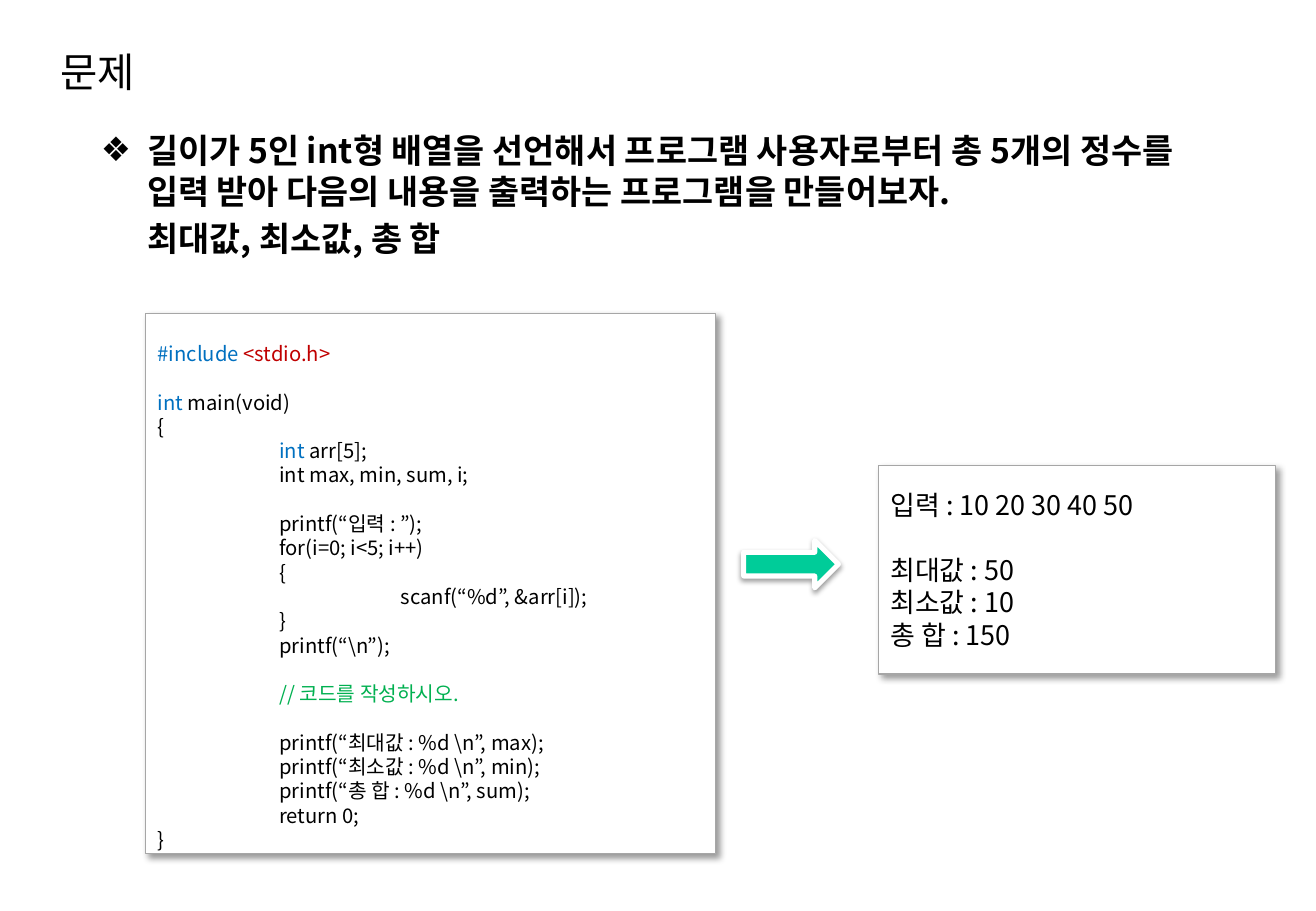
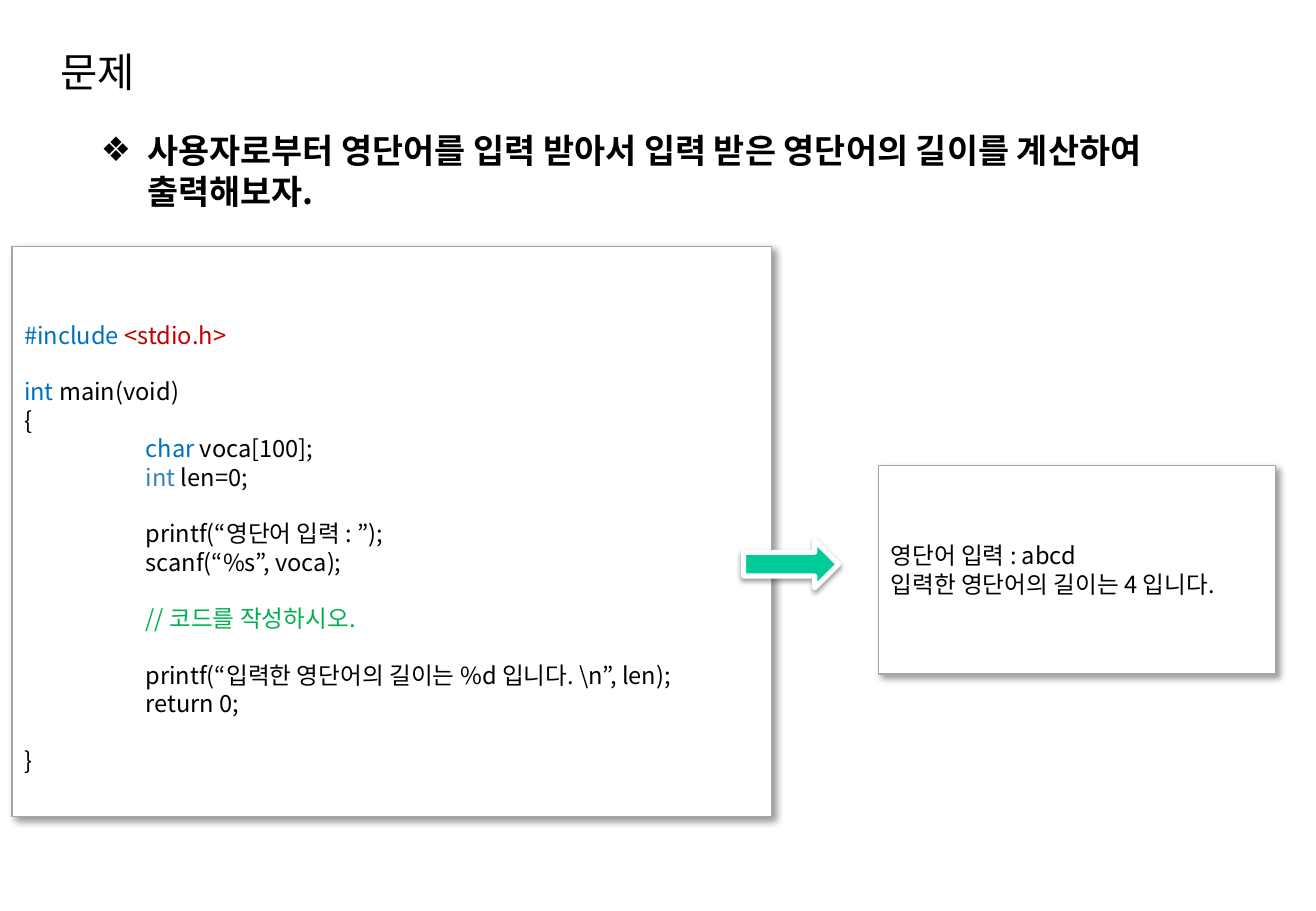
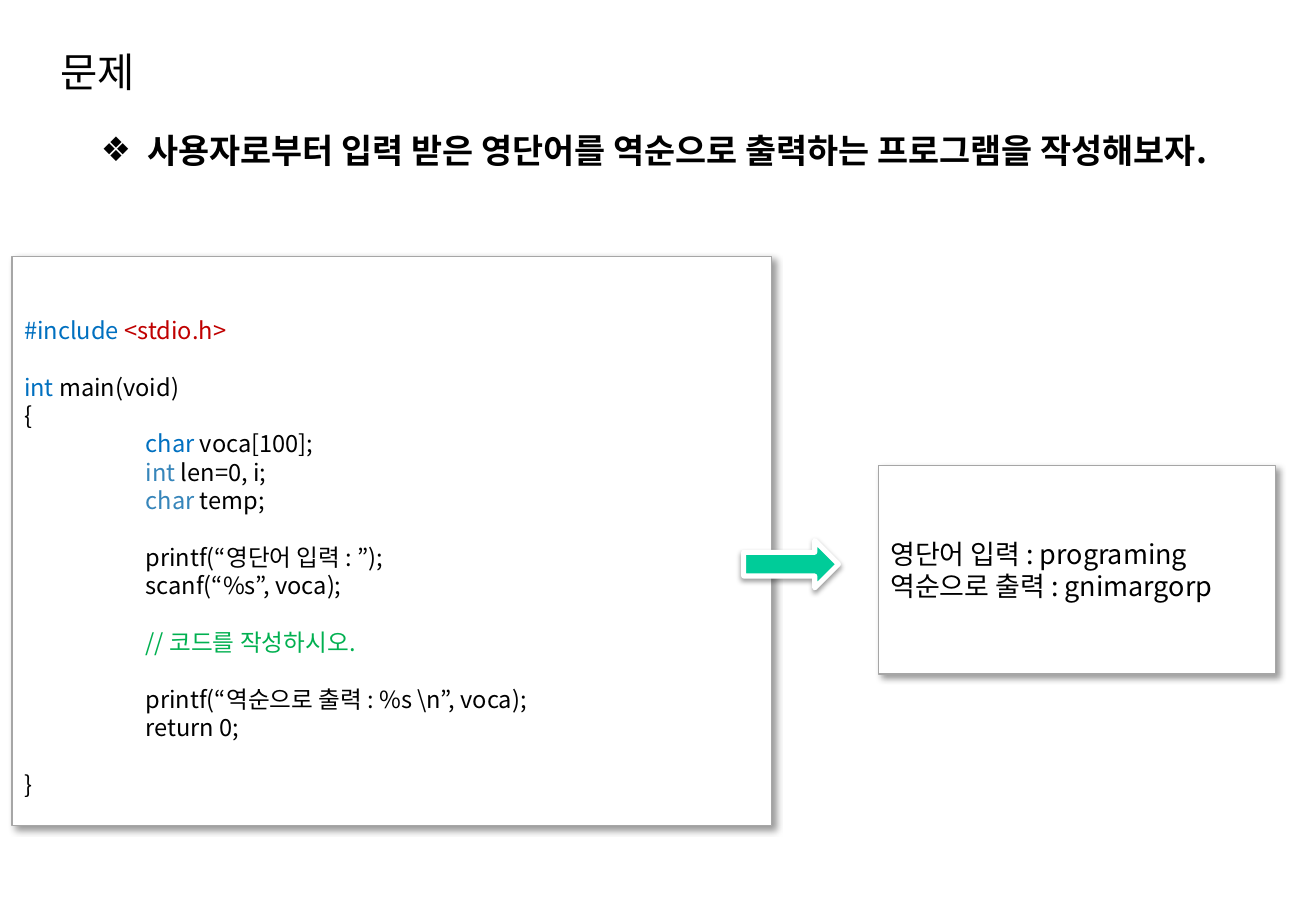
from lxml import etree
from pptx import Presentation
from pptx.dml import color
from pptx.enum import shapes, text
from pptx.oxml import ns
from pptx.util import Inches, Pt

WIDTH, HEIGHT = Inches(10.83), Inches(7.5)
FONT = "Noto Sans CJK KR"
BLACK, WHITE, GREY, TEAL = "000000", "FFFFFF", "A6A6A6", "00CC99"
BLUE, SOFT_BLUE, RED, GREEN = "0070C0", "3685BA", "C00000", "00B050"
LEADING = 1.2
TAB = Inches(1)
BULLET_INDENT = Inches(0.38)

TITLE_AREA = (3.69, 4.27, 57.8, 7.2)
TASK_AREA = (6.74, 13.6, 86.15, 78.67)
OUTPUT_AREA = (66.76, 51.07, 30.19, 22.93)
ARROW_AREA = (56.51, 59.33, 7.2, 5.2)

OPENING = [
    (0, 0, ("#include ", BLUE), ("<stdio.h>", RED)),
    (0, 1, ("int", BLUE), " main(void)"),
    (0, 0, "{"),
]
TODO = (1, 1, ("// 코드를 작성하시오.", GREEN))
RETURN = (1, 0, "return 0;")
READ_WORD = [(1, 1, "printf(“영단어 입력 : ”);"), (1, 0, "scanf(“%s”, voca);")]
VOCA = (1, 0, ("char ", BLUE), "voca[100];")

PROBLEMS = [
    {
        "task": [
            "길이가 5인 int형 배열을 선언해서 프로그램 사용자로부터 총 5개의 정수를 입력 받아 다음의 내용을 출력하는 프로그램을 만들어보자.",
            "최대값, 최소값, 총 합",
        ],
        "code_area": (11.08, 34.4, 43.31, 59.33),
        "code_inset": 0.23,
        "code_size": 12,
        "code": OPENING + [
            (1, 0, ("int ", BLUE), "arr[5];"),
            (1, 0, "int max, min, sum, i;"),
            (1, 1, "printf(“입력 : ”);"),
            (1, 0, "for(i=0; i<5; i++)"),
            (1, 0, "{"),
            (2, 0, "scanf(“%d”, &arr[i]);"),
            (1, 0, "}"),
            (1, 0, r"printf(“\n”);"),
            TODO,
            (1, 1, r"printf(“최대값 : %d \n”, max);"),
            (1, 0, r"printf(“최소값 : %d \n”, min);"),
            (1, 0, r"printf(“총 합 : %d \n”, sum);"),
            RETURN,
            (0, 0, "}"),
        ],
        "output_size": 16,
        "output": [
            (0, 0, "입력 : 10 20 30 40 50"),
            (0, 1, "최대값 : 50"),
            (0, 0, "최소값 : 10"),
            (0, 0, "총 합 : 150"),
        ],
    },
    {
        "task": ["사용자로부터 영단어를 입력 받아서 입력 받은 영단어의 길이를 계산하여 출력해보자."],
        "code_area": (0.92, 27.07, 57.71, 62.53),
        "code_inset": 0.61,
        "code_size": 14,
        "code": OPENING + [VOCA, (1, 0, ("int ", SOFT_BLUE), "len=0;")] + READ_WORD + [
            TODO,
            (1, 1, r"printf(“입력한 영단어의 길이는 %d 입니다. \n”, len);"),
            RETURN,
            (0, 1, "}"),
        ],
        "output_size": 14,
        "output": [(0, 0, "영단어 입력 : abcd"), (0, 0, "입력한 영단어의 길이는 4 입니다.")],
    },
    {
        "task": ["사용자로부터 입력 받은 영단어를 역순으로 출력하는 프로그램을 작성해보자."],
        "code_area": (0.92, 28.13, 57.71, 62.53),
        "code_inset": 0.49,
        "code_size": 14,
        "code": OPENING + [
            VOCA,
            (1, 0, ("int ", SOFT_BLUE), "len=0, i;"),
            (1, 0, ("char", SOFT_BLUE), " temp;"),
        ] + READ_WORD + [
            TODO,
            (1, 1, r"printf(“역순으로 출력 : %s \n”, voca);"),
            RETURN,
            (0, 1, "}"),
        ],
        "output_size": 16,
        "output": [(0, 0, "영단어 입력 : programing"), (0, 0, "역순으로 출력 : gnimargorp")],
    },
]


def rgb(code):
    return color.RGBColor.from_string(code)


def emu(area):
    return [round(share * side / 100) for share, side in zip(area, (WIDTH, HEIGHT) * 2)]


def place(holder, area):
    holder.left, holder.top, holder.width, holder.height = emu(area)


def style_run(run, size, ink=BLACK, bold=False):
    run.font.size = Pt(size)
    run.font.bold = bold
    run.font.color.rgb = rgb(ink)
    run.font.name = FONT
    etree.SubElement(run.font._element, ns.qn("a:ea"), typeface=FONT)


def paragraph_at(frame, index):
    return frame.paragraphs[0] if index == 0 else frame.add_paragraph()


def set_leading(paragraph, size, before):
    paragraph.alignment = text.PP_ALIGN.LEFT
    paragraph.line_spacing = Pt(size * LEADING)
    paragraph.space_before = Pt(before)
    paragraph.space_after = Pt(0)


def set_indent(paragraph, left, first=0):
    properties = paragraph._p.get_or_add_pPr()
    properties.set("marL", str(left))
    properties.set("indent", str(first))
    return properties


def add_title(slide, wording):
    title = slide.shapes.title
    place(title, TITLE_AREA)
    frame = title.text_frame
    frame.text = wording
    frame.vertical_anchor = text.MSO_ANCHOR.MIDDLE
    frame.auto_size = text.MSO_AUTO_SIZE.NONE
    set_leading(frame.paragraphs[0], 24, 0)
    style_run(frame.paragraphs[0].runs[0], 24)


def add_task(slide, sentences):
    task = slide.placeholders[1]
    place(task, TASK_AREA)
    frame = task.text_frame
    frame.auto_size = text.MSO_AUTO_SIZE.NONE
    for index, sentence in enumerate(sentences):
        paragraph = paragraph_at(frame, index)
        paragraph.text = sentence
        set_leading(paragraph, 20, 4)
        if index == 0:
            properties = set_indent(paragraph, BULLET_INDENT, -BULLET_INDENT)
            etree.SubElement(properties, ns.qn("a:buChar"), char="❖")
        else:
            properties = set_indent(paragraph, BULLET_INDENT)
            etree.SubElement(properties, ns.qn("a:buNone"))
        style_run(paragraph.runs[0], 20, bold=True)


def cast_shadow(shape, opacity, blur, distance, angle):
    shape.shadow.inherit = False
    effects = shape._element.spPr.find(ns.qn("a:effectLst"))
    shadow = etree.SubElement(
        effects, ns.qn("a:outerShdw"), blurRad=str(Pt(blur)), dist=str(Pt(distance)),
        dir=str(angle * 60000), algn="tl", rotWithShape="0")
    black = etree.SubElement(shadow, ns.qn("a:srgbClr"), val=BLACK)
    etree.SubElement(black, ns.qn("a:alpha"), val=str(opacity * 1000))


def add_block(slide, preset, area, fill, outline, weight):
    block = slide.shapes.add_shape(preset, *emu(area))
    block.fill.solid()
    block.fill.fore_color.rgb = rgb(fill)
    block.line.color.rgb = rgb(outline)
    block.line.width = Pt(weight)
    return block


def add_listing(slide, area, lines, size, inset=None):
    panel = add_block(slide, shapes.MSO_SHAPE.RECTANGLE, area, WHITE, GREY, 0.75)
    cast_shadow(panel, 40, 4, 3, 45)
    frame = panel.text_frame
    frame.word_wrap = True
    frame.vertical_anchor = text.MSO_ANCHOR.MIDDLE
    if inset is not None:
        frame.vertical_anchor = text.MSO_ANCHOR.TOP
        frame.margin_top = Inches(inset)
        frame.margin_bottom = 0
    for index, (level, gap, *pieces) in enumerate(lines):
        paragraph = paragraph_at(frame, index)
        set_leading(paragraph, size, gap * size * LEADING)
        set_indent(paragraph, level * TAB)
        for piece in pieces:
            wording, ink = (piece, BLACK) if isinstance(piece, str) else piece
            run = paragraph.add_run()
            run.text = wording
            style_run(run, size, ink)


def add_arrow(slide):
    arrow = add_block(slide, shapes.MSO_SHAPE.RIGHT_ARROW, ARROW_AREA, TEAL, WHITE, 3)
    cast_shadow(arrow, 38, 3.1, 1.6, 90)


def add_problem(deck, problem):
    slide = deck.slides.add_slide(deck.slide_layouts[1])
    add_title(slide, "문제")
    add_task(slide, problem["task"])
    add_listing(slide, problem["code_area"], problem["code"], problem["code_size"], problem["code_inset"])
    add_listing(slide, OUTPUT_AREA, problem["output"], problem["output_size"])
    add_arrow(slide)


def main():
    deck = Presentation()
    deck.slide_width, deck.slide_height = WIDTH, HEIGHT
    for problem in PROBLEMS:
        add_problem(deck, problem)
    deck.save("out.pptx")


if __name__ == "__main__":
    main()
